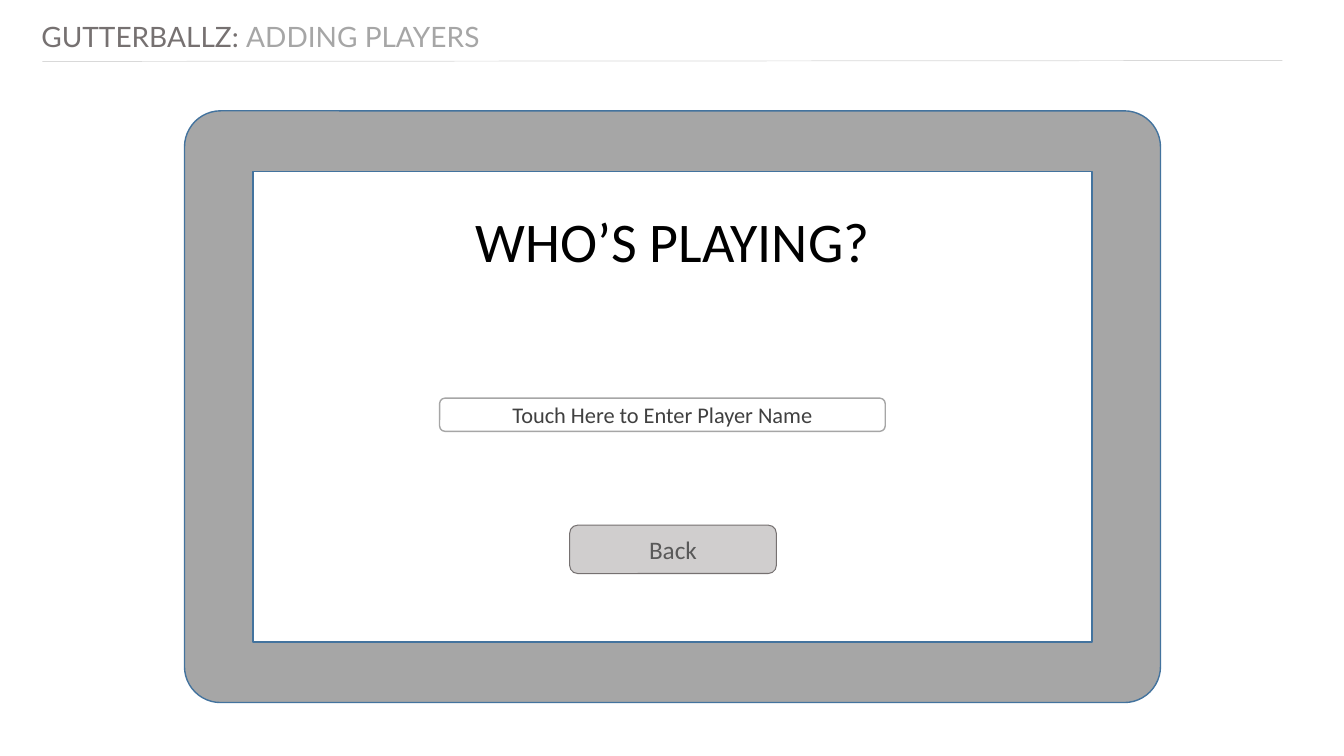
import dataclasses

import pptx
import pptx.dml.color
import pptx.enum.shapes
import pptx.enum.text
import pptx.oxml
import pptx.util

Inches = pptx.util.Inches
Pt = pptx.util.Pt
MSO_SHAPE = pptx.enum.shapes.MSO_SHAPE
PP_ALIGN = pptx.enum.text.PP_ALIGN
MSO_ANCHOR = pptx.enum.text.MSO_ANCHOR


@dataclasses.dataclass(frozen=True)
class Theme:
    """Colours, fonts and type sizes of the slide."""
    heading_font: str = "Lato"
    body_font: str = "Calibri"
    heading_size: int = 20
    question_size: int = 40
    button_size: int = 18
    field_size: int = 16
    white: str = "FFFFFF"
    black: str = "000000"
    bezel: str = "A6A6A6"
    bezel_line: str = "43739E"
    rule: str = "D9D9D9"
    heading_dark: str = "767171"
    heading_light: str = "A6A6A6"
    button: str = "D0CECE"
    button_line: str = "767171"
    button_text: str = "595959"
    field_line: str = "A6A6A6"
    field_text: str = "404040"


THEME = Theme()


def rgb(value):
    """Return the colour for a hex string."""
    return pptx.dml.color.RGBColor.from_string(value)


def place(sp, box):
    """Move and size a shape to a box in inches."""
    sp.left, sp.top, sp.width, sp.height = map(Inches, box)


def style_run(r, font, size, color):
    """Set the font, size and colour of a run."""
    r.font.name = font
    r.font.size = Pt(size)
    r.font.color.rgb = rgb(color)


def set_text(sp, text, size, color, anchor=MSO_ANCHOR.MIDDLE):
    """Write one centred line of body text in a shape."""
    tf = sp.text_frame
    tf.text = text
    tf.word_wrap = True
    tf.vertical_anchor = anchor
    p = tf.paragraphs[0]
    p.alignment = PP_ALIGN.CENTER
    style_run(p.runs[0], THEME.body_font, size, color)


def add_box(shapes, kind, box, fill, line, width=1.0, radius=None):
    """Add a filled and outlined preset shape."""
    sp = shapes.add_shape(kind, *map(Inches, box))
    sp.shadow.inherit = False
    sp.fill.solid()
    sp.fill.fore_color.rgb = rgb(fill)
    sp.line.color.rgb = rgb(line)
    sp.line.width = Pt(width)
    if radius is not None:
        sp.adjustments[0] = radius
    return sp


def add_heading(s, box):
    """Fill the title placeholder and draw the rule below it."""
    left, top, width, height = box
    title = s.shapes.title
    place(title, (left, top, 6.07, 0.44))
    tf = title.text_frame
    tf.word_wrap = True
    tf.auto_size = pptx.enum.text.MSO_AUTO_SIZE.NONE
    tf.vertical_anchor = MSO_ANCHOR.TOP
    tf.margin_left = 0
    p = tf.paragraphs[0]
    p.alignment = PP_ALIGN.LEFT
    for text, color in (("GUTTERBALLZ: ", THEME.heading_dark),
                        ("ADDING PLAYERS", THEME.heading_light)):
        r = p.add_run()
        r.text = text
        style_run(r, THEME.heading_font, THEME.heading_size, color)
    bottom = top + height
    rule = s.shapes.add_connector(
        pptx.enum.shapes.MSO_CONNECTOR.STRAIGHT,
        *map(Inches, (left + 0.01, bottom, left + width, bottom - 0.01)))
    rule.line.color.rgb = rgb(THEME.rule)
    rule.line.width = Pt(0.5)
    pptx.oxml.ns.qn("a:effectLst")
    rule._element.spPr.append(pptx.oxml.parse_xml(
        '<a:effectLst xmlns:a="http://schemas.openxmlformats.org/drawingml/2006/main"/>'))


def add_tablet(s, box):
    """Draw the tablet bezel and return the box of its screen."""
    left, top, width, height = box
    side, edge = 0.68, 0.6
    screen = (left + side, top + edge, width - 2 * side, height - 2 * edge)
    tablet = s.shapes.add_group_shape()
    add_box(tablet.shapes, MSO_SHAPE.ROUNDED_RECTANGLE, box,
            THEME.bezel, THEME.bezel_line, radius=0.061)
    add_box(tablet.shapes, MSO_SHAPE.RECTANGLE, screen,
            THEME.white, THEME.bezel_line)
    return screen


def add_player_form(s, box):
    """Place the question, the name field and the back button on the screen."""
    left, top, width, height = box
    margin = 0.26
    question = s.shapes.add_textbox(*map(
        Inches, (left + margin, top + 0.3, width - 2 * margin, 0.77)))
    set_text(question, "WHO’S PLAYING?", THEME.question_size, THEME.black,
             MSO_ANCHOR.TOP)
    field = add_box(s.shapes, MSO_SHAPE.ROUNDED_RECTANGLE,
                    (left + 1.85, top + 2.25, 4.42, 0.33),
                    THEME.white, THEME.field_line)
    set_text(field, "Touch Here to Enter Player Name",
             THEME.field_size, THEME.field_text)
    back = add_box(s.shapes, MSO_SHAPE.ROUNDED_RECTANGLE,
                   (left + 3.14, top + 3.51, 2.05, 0.48),
                   THEME.button, THEME.button_line, 0.75)
    set_text(back, "Back", THEME.button_size, THEME.button_text)


def build_slide(prs):
    """Build the slide for adding players."""
    s = prs.slides.add_slide(prs.slide_layouts.get_by_name("Title Only"))
    add_heading(s, (0.41, 0.14, 12.31, 0.47))
    screen = add_tablet(s, (1.83, 1.1, 9.68, 5.87))
    add_player_form(s, screen)


prs = pptx.Presentation()
prs.slide_width = Inches(13.33)
prs.slide_height = Inches(7.5)
build_slide(prs)
prs.save("out.pptx")
